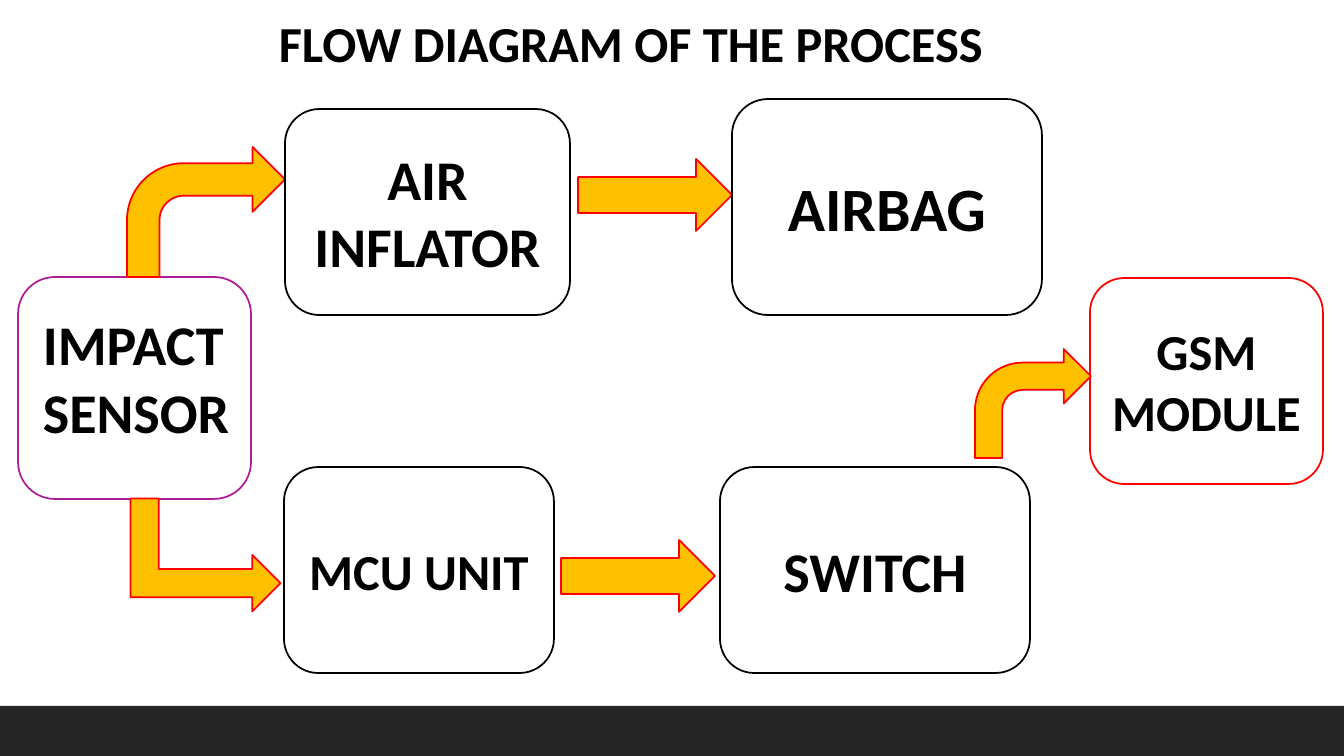
from pptx import Presentation
from pptx import util as u
from pptx.dml.color import RGBColor
from pptx.enum import shapes, text

PX = 914400 / 100.8
KIND = shapes.MSO_SHAPE


def px(*lengths):
    return [round(length * PX) for length in lengths]


def color(value):
    return RGBColor.from_string(value)


deck = Presentation()
deck.slide_width, deck.slide_height = px(1344, 756)
page = deck.slides.add_slide(deck.slide_layouts[6])

# Kind, position and size, fill, line, rotation, label, text size
ROUND, ARROW, BENT = KIND.ROUNDED_RECTANGLE, KIND.RIGHT_ARROW, KIND.BENT_ARROW
WHITE, BLACK, RED, ORANGE = "FFFFFF", "000000", "FF0000", "FFC000"
parts = [
    (KIND.RECTANGLE, (0, 706, 1344, 50), "262626", None, 0, "", 0),
    (KIND.FLOWCHART_ALTERNATE_PROCESS, (18, 277, 233, 222), WHITE, "AB1E96", 0, "", 0),
    (BENT, (127, 147, 158, 130), ORANGE, RED, 0, "", 0),
    (ROUND, (285, 109, 285, 206), WHITE, BLACK, 0, "AIR INFLATOR", 40),
    (ARROW, (578, 159, 154, 72), ORANGE, RED, 0, "", 0),
    (ROUND, (732, 99, 310, 216), WHITE, BLACK, 0, "AIRBAG", 44),
    (ROUND, (284, 467, 270, 206), WHITE, BLACK, 0, "MCU UNIT", 36),
    (KIND.BENT_UP_ARROW, (149, 480, 113, 150), ORANGE, RED, 90, "", 0),
    (ARROW, (561, 540, 154, 72), ORANGE, RED, 0, "", 0),
    (ROUND, (720, 467, 310, 206), WHITE, BLACK, 0, "SWITCH", 40),
    (ROUND, (1090, 278, 233, 206), WHITE, RED, 0, "GSM MODULE", 36),
    (BENT, (975, 349, 116, 109), ORANGE, RED, 0, "", 0),
]
labels = []
for kind, place, fill, line, turn, label, size in parts:
    part = page.shapes.add_shape(kind, *px(*place))
    part.shadow.inherit = False
    part.rotation = turn
    part.fill.solid()
    part.fill.fore_color.rgb = color(fill)
    if line:
        part.line.color.rgb = color(line)
        part.line.width = u.Pt(1.25)
    else:
        part.line.fill.background()
    if label:
        labels.append((part, label, size, text.PP_ALIGN.CENTER, text.MSO_ANCHOR.MIDDLE))

# Title and impact sensor text boxes
for place, label, size in [
    ((269, 7, 753, 72), "FLOW DIAGRAM OF THE PROCESS", 36),
    ((33, 305, 219, 146), "IMPACT SENSOR", 40),
]:
    box = page.shapes.add_textbox(*px(*place))
    labels.append((box, label, size, text.PP_ALIGN.LEFT, text.MSO_ANCHOR.TOP))

# Lettering
for box, label, size, align, anchor in labels:
    frame = box.text_frame
    frame.word_wrap = True
    frame.vertical_anchor = anchor
    para = frame.paragraphs[0]
    para.alignment = align
    span = para.add_run()
    span.text = label
    for name, value in {"name": "Calibri", "size": u.Pt(size), "bold": True}.items():
        setattr(span.font, name, value)
    span.font.color.rgb = color(BLACK)

deck.save("out.pptx")
